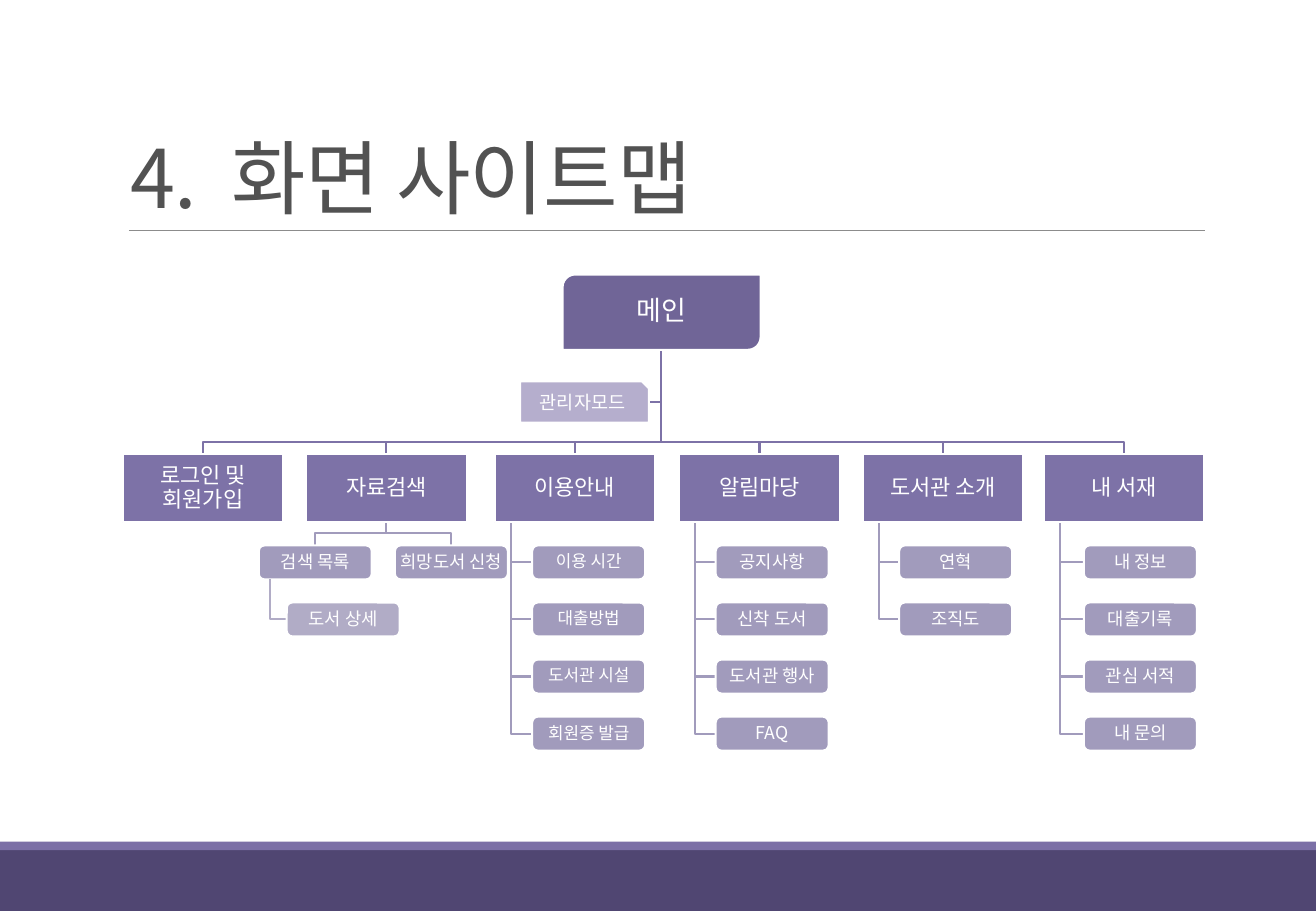
"""Builds the library site map slide on a grid of tenth-inch cells."""
import pptx
import pptx.dml.color
import pptx.enum.shapes
import pptx.enum.text
import pptx.oxml.ns
import pptx.util
from lxml import etree

COLUMNS, ROWS = 108.3, 75
FONT = "Noto Sans CJK KR"
COLOURS = {
    "white": "FFFFFF", "title": "525252", "rule": "8C8C8C",
    "footer": "504672", "stripe": "7B6FA6", "main": "706597",
    "section": "7D72A7", "page": "A19BBC", "detail": "B1ACC6", "admin": "B5AECD",
}
PRESET = pptx.enum.shapes.MSO_SHAPE
KINDS = {
    "main": (PRESET.ROUND_2_DIAG_RECTANGLE, 16.3, 6.2, 16),
    "section": (PRESET.RECTANGLE, 13.2, 5.6, 13),
    "page": (PRESET.ROUNDED_RECTANGLE, 9.3, 2.8, 10.5),
    "detail": (PRESET.ROUNDED_RECTANGLE, 9.3, 2.8, 10.5),
    "admin": (PRESET.SNIP_1_RECTANGLE, 10.6, 3.4, 11),
}
TRUNK, MAIN_BOTTOM, BUS = 54.4, 28.8, 36.4
SECTION_TOP, SECTION_BOTTOM = 37.4, 43
SECTION_WIDTH, STEM = 13.2, 1.32
PAGE_TOP, PAGE_STEP, PAGE_MIDDLE = 44.9, 4.7, 1.4
SEARCH_LEFT, SEARCH_FORK = 25.2, 43.9
SEARCH_PAGES = [("검색 목록", 21.3), ("희망도서 신청", 32.5)]
DETAIL_LEFT = 23.6
SECTIONS = [
    ("로그인 및\n회원가입", 10.1, 0, 10.5, []),
    ("자료검색", SEARCH_LEFT, 0, 10.5, []),
    ("이용안내", 40.7, 43.8, 10, ["이용 시간", "대출방법", "도서관 시설", "회원증 발급"]),
    ("알림마당", 55.9, 58.9, 10.5, ["공지사항", "신착 도서", "도서관 행사", "FAQ"]),
    ("도서관 소개", 71, 74, 10.5, ["연혁", "조직도"]),
    ("내 서재", 85.9, 89.2, 10.5, ["내 정보", "대출기록", "관심 서적", "내 문의"]),
]


def cells(count):
    return pptx.util.Inches(count / 10)


def colour(name):
    return pptx.dml.color.RGBColor.from_string(COLOURS[name])


def apply(target, formats):
    for name, value in formats.items():
        setattr(target, name, value)


class SiteMap:
    """Holds the current slide and the style of its elements."""

    def __init__(self, deck):
        self.page = deck.slides.add_slide(deck.slide_layouts[5])
        self.shapes = self.page.shapes

    def style_span(self, span, size, shade):
        apply(span.font, {"size": pptx.util.Pt(size), "name": FONT})
        span.font.color.rgb = colour(shade)
        properties = span.font._element
        etree.SubElement(properties, pptx.oxml.ns.qn("a:ea"), typeface=FONT)
        return properties

    def title(self, pieces):
        box = self.shapes.title
        apply(box, {"left": cells(9.7), "top": cells(3.1), "width": cells(89.4), "height": cells(15.9)})
        apply(box.text_frame, {
            "auto_size": pptx.enum.text.MSO_AUTO_SIZE.NONE,
            "vertical_anchor": pptx.enum.text.MSO_ANCHOR.BOTTOM,
            "word_wrap": True,
        })
        para = box.text_frame.paragraphs[0]
        apply(para, {"alignment": pptx.enum.text.PP_ALIGN.LEFT, "line_spacing": 0.85})
        for text, spacing in pieces:
            span = para.add_run()
            span.text = text
            self.style_span(span, 48, "title").set("spc", str(spacing))

    def band(self, top, height, shade):
        box = self.shapes.add_shape(PRESET.RECTANGLE, 0, cells(top), cells(COLUMNS), cells(height))
        box.shadow.inherit = False
        box.fill.solid()
        box.fill.fore_color.rgb = colour(shade)
        box.line.fill.background()

    def rule(self, left, right, row):
        line = self.shapes.add_connector(
            pptx.enum.shapes.MSO_CONNECTOR.STRAIGHT, cells(left), cells(row), cells(right), cells(row))
        line.line.color.rgb = colour("rule")
        line.line.width = pptx.util.Pt(0.5)
        etree.SubElement(line._element.spPr, pptx.oxml.ns.qn("a:effectLst"))

    def link(self, shade, *points):
        start, *rest = [(cells(x), cells(y)) for x, y in points]
        builder = self.shapes.build_freeform(*start)
        builder.add_line_segments(rest, close=False)
        line = builder.convert_to_shape()
        line.shadow.inherit = False
        line.fill.background()
        line.line.color.rgb = colour(shade)
        line.line.width = pptx.util.Pt(1.25)

    def node(self, kind, text, left, top, size=None):
        preset, width, height, usual_size = KINDS[kind]
        size = size or usual_size
        box = self.shapes.add_shape(preset, cells(left), cells(top), cells(width), cells(height))
        box.shadow.inherit = False
        box.fill.solid()
        box.fill.fore_color.rgb = colour(kind)
        box.line.color.rgb = colour("white")
        box.line.width = pptx.util.Pt(1.25)
        margins = dict.fromkeys(
            ("margin_left", "margin_top", "margin_right", "margin_bottom"), cells(0.1))
        apply(box.text_frame, {
            **margins, "word_wrap": True,
            "vertical_anchor": pptx.enum.text.MSO_ANCHOR.MIDDLE,
        })
        para = box.text_frame.paragraphs[0]
        para.text = text.replace("\n", "\v")
        apply(para, {
            "alignment": pptx.enum.text.PP_ALIGN.CENTER,
            "line_spacing": 0.9,
            "space_after": pptx.util.Pt(size * 0.2),
        })
        for span in para.runs:
            self.style_span(span, size, "white")
        for line_break in para._p.findall(pptx.oxml.ns.qn("a:br")):
            etree.SubElement(line_break, pptx.oxml.ns.qn("a:rPr"), sz=str(int(size * 100)))

    def section(self, name, left, page_left, size, pages):
        centre, stem = left + SECTION_WIDTH / 2, left + STEM
        self.link("section", (TRUNK, MAIN_BOTTOM), (TRUNK, BUS), (centre, BUS), (centre, SECTION_TOP))
        for index, text in enumerate(pages):
            top = PAGE_TOP + index * PAGE_STEP
            middle = top + PAGE_MIDDLE
            self.link("page", (stem, SECTION_BOTTOM), (stem, middle), (page_left, middle))
            self.node("page", text, page_left, top, size)
        self.node("section", name, left, SECTION_TOP)

    def search_branch(self):
        centre = SEARCH_LEFT + SECTION_WIDTH / 2
        for text, left in SEARCH_PAGES:
            middle = left + KINDS["page"][1] / 2
            self.link("page", (centre, SECTION_BOTTOM), (centre, SEARCH_FORK),
                      (middle, SEARCH_FORK), (middle, PAGE_TOP))
            self.node("page", text, left, PAGE_TOP)
        stem = SEARCH_PAGES[0][1] + KINDS["page"][1] / 10
        top = PAGE_TOP + PAGE_STEP
        self.link("detail", (stem, PAGE_TOP + KINDS["page"][2]),
                  (stem, top + PAGE_MIDDLE), (DETAIL_LEFT, top + PAGE_MIDDLE))
        self.node("detail", "도서 상세", DETAIL_LEFT, top)


def main():
    deck = pptx.Presentation()
    apply(deck, {"slide_width": cells(COLUMNS), "slide_height": cells(ROWS)})
    site = SiteMap(deck)
    site.band(70, 5, "footer")
    site.band(69.3, 0.7, "stripe")
    site.rule(10.6, 99.2, 19)
    site.title([("4.", -50), (" ", 1000), ("화면 사이트맵", -50)])
    site.search_branch()
    for section in SECTIONS:
        site.section(*section)
    site.link("section", (TRUNK, MAIN_BOTTOM), (TRUNK, 33.1), (53.4, 33.1))
    site.node("main", "메인", 46.3, 22.6)
    site.node("admin", "관리자모드", 42.8, 31.4)
    deck.save("out.pptx")


if __name__ == "__main__":
    main()
